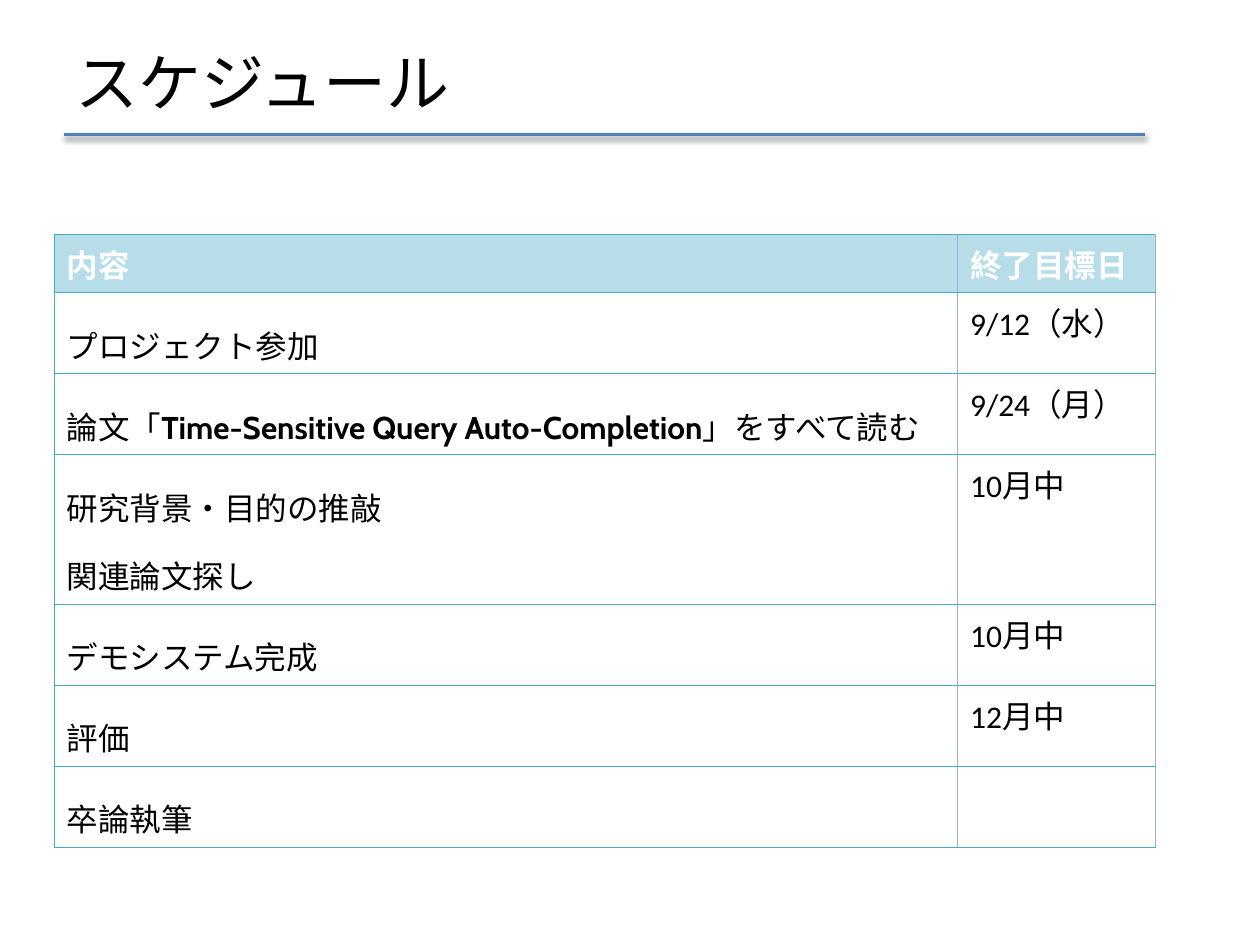
from dataclasses import dataclass

from lxml import etree
from pptx import Presentation
from pptx.dml.color import RGBColor
from pptx.enum.shapes import MSO_CONNECTOR
from pptx.enum.text import MSO_ANCHOR, PP_ALIGN
from pptx.oxml.ns import qn
from pptx.util import Pt

STRAIGHT = MSO_CONNECTOR.STRAIGHT
MIDDLE = MSO_ANCHOR.MIDDLE
LEFT = PP_ALIGN.LEFT

JAPANESE, LATIN, PAPER_FONT = "Noto Sans CJK JP", "Calibri", "Cabin"
BLACK, WHITE = "000000", "FFFFFF"
HEADER_FILL, RULE_BLUE = "B7DEE8", "4F81BD"
TEAL_EDGE, BLUE_EDGE = ("46AAC5", 0.75), ("95B3D7", 1)
HEADER_HEIGHT, LINE_HEIGHT, CELL_PADDING = 32.9, 39.1, 7.2
COLUMN_WIDTHS = (516.2, 113)
TABLE_LEFT, TABLE_TOP = 31, 134


@dataclass(frozen=True)
class Part:
    text: str
    font: str = JAPANESE
    bold: bool = False


@dataclass(frozen=True)
class Task:
    """One schedule row: its lines of work, each made of parts, and its due date."""
    lines: tuple[tuple[Part, ...], ...]
    due: str = ""


HEADERS = ("内容", "終了目標日")
TASKS = (
    Task(((Part("プロジェクト参加"),),), "9/12（水）"),
    Task(((Part("論文「"),
           Part("Time-Sensitive Query Auto-Completion", PAPER_FONT, True),
           Part("」をすべて読む")),), "9/24（月）"),
    Task(((Part("研究背景・目的の推敲"),), (Part("関連論文探し"),)), "10月中"),
    Task(((Part("デモシステム完成"),),), "10月中"),
    Task(((Part("評価"),),), "12月中"),
    Task(((Part("卒論執筆"),),)),
)


def rgb(color: str) -> RGBColor:
    return RGBColor.from_string(color)


def format_run(run, font: str, size: float, color: str, bold: bool = False) -> None:
    run.font.name = font
    run.font.size = Pt(size)
    run.font.bold = bold
    run.font.color.rgb = rgb(color)
    east_asian = etree.Element(qn("a:ea"), typeface=JAPANESE)
    run.font._element.find(qn("a:latin")).addnext(east_asian)


def add_color(parent, color: str):
    return etree.SubElement(parent, qn("a:srgbClr"), val=color)


def set_borders(cell, left: tuple[str, float]) -> None:
    """Write the edges ahead of the fill, as the schema asks."""
    properties = cell._tc.get_or_add_tcPr()
    edges = {"L": left, "R": BLUE_EDGE, "T": TEAL_EDGE, "B": TEAL_EDGE}
    for position, (side, (color, width)) in enumerate(edges.items()):
        edge = etree.Element(qn(f"a:ln{side}"), w=str(Pt(width)))
        add_color(etree.SubElement(edge, qn("a:solidFill")), color)
        properties.insert(position, edge)


def fill_cell(cell, lines: tuple[tuple[Part, ...], ...], color: str = BLACK,
              spacing: float = 1.0) -> None:
    frame = cell.text_frame
    for index, parts in enumerate(lines):
        paragraph = frame.add_paragraph() if index else frame.paragraphs[0]
        paragraph.line_spacing = spacing
        for part in parts:
            run = paragraph.add_run()
            run.text = part.text
            format_run(run, part.font, 18, color, part.bold)


def add_title(slide) -> None:
    title = slide.shapes.title
    title.left, title.top, title.width, title.height = Pt(36), Pt(21.6), Pt(588), Pt(50)
    title.text_frame.text = "スケジュール"
    title.text_frame.vertical_anchor = MIDDLE
    heading = title.text_frame.paragraphs[0]
    heading.alignment = LEFT
    format_run(heading.runs[0], JAPANESE, 36, BLACK)


def add_title_rule(slide) -> None:
    rule = slide.shapes.add_connector(STRAIGHT, Pt(36.7), Pt(77), Pt(654.5), Pt(77))
    rule.line.color.rgb = rgb(RULE_BLUE)
    rule.line.width = Pt(2)
    effects = etree.SubElement(rule._element.spPr, qn("a:effectLst"))
    shadow = etree.SubElement(effects, qn("a:outerShdw"), blurRad=str(Pt(3.1)),
                              dist=str(Pt(1.6)), dir="5400000", rotWithShape="0")
    etree.SubElement(add_color(shadow, BLACK), qn("a:alpha"), val="38000")


def add_schedule(slide) -> None:
    heights = [HEADER_HEIGHT] + [len(task.lines) * LINE_HEIGHT + CELL_PADDING
                                 for task in TASKS]
    schedule = slide.shapes.add_table(
        len(heights), len(COLUMN_WIDTHS), Pt(TABLE_LEFT), Pt(TABLE_TOP),
        Pt(sum(COLUMN_WIDTHS)), Pt(sum(heights))).table
    schedule.horz_banding = False
    for column, width in zip(schedule.columns, COLUMN_WIDTHS):
        column.width = Pt(width)
    for row, height in zip(schedule.rows, heights):
        row.height = Pt(height)

    for column, header in enumerate(HEADERS):
        fill_cell(schedule.cell(0, column), ((Part(header, LATIN, True),),), WHITE)
    for row, task in enumerate(TASKS, start=1):
        fill_cell(schedule.cell(row, 0), task.lines, spacing=1.5)
        if task.due:
            fill_cell(schedule.cell(row, 1), ((Part(task.due, LATIN),),))

    for row in range(len(heights)):
        for column, left_edge in enumerate((TEAL_EDGE, BLUE_EDGE)):
            cell = schedule.cell(row, column)
            cell.fill.solid()
            cell.fill.fore_color.rgb = rgb(WHITE if row else HEADER_FILL)
            set_borders(cell, left_edge)


def main() -> None:
    presentation = Presentation()
    presentation.slide_width, presentation.slide_height = Pt(720), Pt(540)
    slide = presentation.slides.add_slide(presentation.slide_layouts[5])
    add_title(slide)
    add_schedule(slide)
    add_title_rule(slide)
    presentation.save("out.pptx")


if __name__ == "__main__":
    main()
